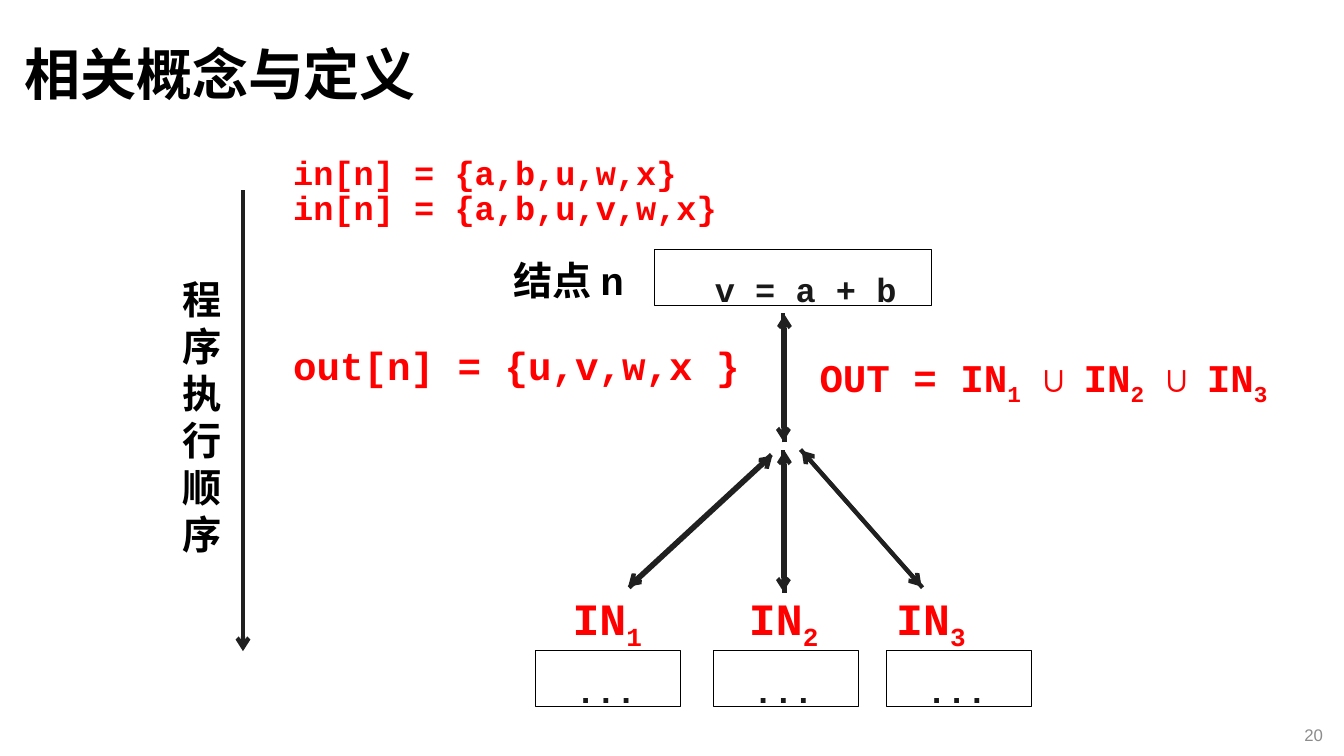
"""Build the slide on node in and out sets of a data flow analysis."""
from dataclasses import dataclass

from lxml import etree
from pptx import Presentation
from pptx import util as u
from pptx.dml.color import RGBColor
from pptx.enum import shapes, text
from pptx.oxml.ns import qn

MONO, HAN, SERIF, SANS = "Courier New", "Noto Sans CJK SC", "Times New Roman", "Arial"
RED, BLACK, INK, DARK, GREY = "FF0000", "000000", "191919", "202020", "8C8C8C"
LEFT, MID, RIGHT = text.PP_ALIGN.LEFT, text.PP_ALIGN.CENTER, text.PP_ALIGN.RIGHT


@dataclass
class Label:
    words: str
    left: float
    top: float
    width: float
    height: float
    size: int = 24
    font: str = MONO
    color: str = RED
    align: text.PP_ALIGN = LEFT
    wrap: bool = False
    bold: bool = True
    pitch: float = 0


@dataclass
class Box:
    words: str
    left: float
    top: float
    width: float
    indent: float


@dataclass
class Arrow:
    x1: float
    y1: float
    x2: float
    y2: float


LABELS = [
    Label("out[n] = {u,v,w,x }", 2.81, 3.34, 4.65, 0.57, 28),
    Label("in[n] = {a,b,u,v,w,x}", 2.81, 1.81, 4.44, 0.5),
    Label("in[n] = {a,b,u,w,x}", 2.81, 1.46, 4.03, 0.5),
    Label("\n".join("程序执行顺序"), 1.71, 2.68, 0.59, 2.93, 28, HAN, BLACK, MID, pitch=33.6),
    Label("结点 n", 4.96, 2.49, 1.36, 0.57, 28, MONO, BLACK, MID, True, pitch=33.6),
    Label("20", 10.22, 7.09, 3, 0.4, 12, SANS, GREY, RIGHT, True, False),
]
BOXES = [Box("v = a + b", 6.49, 2.47, 2.75, 0.6)]
BOXES += [Box("...", left, 6.45, 1.44, 0.4) for left in (5.31, 7.07, 8.79)]
FLOWS = [
    Arrow(7.77, 4.38, 7.77, 3.11),
    Arrow(6.23, 5.82, 7.65, 4.51),
    Arrow(9.14, 5.82, 7.94, 4.46),
    Arrow(7.77, 5.87, 7.77, 4.46),
]
UNION = [("OUT = IN", MONO, 0), ("1 ", MONO, -25), ("∪ ", SERIF, 0),
         ("IN", MONO, 0), ("2 ", MONO, -25), ("∪ ", SERIF, 0),
         ("IN", MONO, 0), ("3", MONO, -25)]


def tint(code: str) -> RGBColor:
    """Turn a hex string into a colour."""
    return RGBColor.from_string(code)


def style(run, size: int, font: str, color: str, bold: bool = True, base: int = 0) -> None:
    """Format one run, with its East Asian font and baseline."""
    run.font.size, run.font.bold, run.font.name = u.Pt(size), bold, font
    run.font.color.rgb = tint(color)
    props = run._r.get_or_add_rPr()
    east = etree.SubElement(props, qn("a:ea"))
    east.set("typeface", HAN if font == MONO else font)
    if base:
        props.set("baseline", str(base * 1000))


def put_label(slide, label: Label):
    """Add a text box whose paragraphs share one format."""
    area = map(u.Inches, (label.left, label.top, label.width, label.height))
    frame = slide.shapes.add_textbox(*area).text_frame
    frame.word_wrap = label.wrap
    if label.font == SANS:
        frame.vertical_anchor = text.MSO_ANCHOR.MIDDLE
    frame.text = label.words
    for para in frame.paragraphs:
        para.alignment = label.align
        if label.pitch:
            para.line_spacing = u.Pt(label.pitch)
        for run in para.runs:
            style(run, label.size, label.font, label.color, label.bold)


def put_mix(slide, parts: list, left: float, top: float, width: float,
            height: float, size: int, wrap: bool = False) -> None:
    """Add a red text box whose runs differ in font and baseline."""
    area = map(u.Inches, (left, top, width, height))
    frame = slide.shapes.add_textbox(*area).text_frame
    frame.word_wrap = wrap
    for words, font, base in parts:
        run = frame.paragraphs[0].add_run()
        run.text = words
        style(run, size, font, RED, base=base)


def put_box(slide, box: Box) -> None:
    """Add an outlined statement box."""
    area = map(u.Inches, (box.left, box.top, box.width, 0.56))
    shape = slide.shapes.add_shape(shapes.MSO_SHAPE.RECTANGLE, *area)
    shape.shadow.inherit = False
    shape.fill.background()
    shape.line.color.rgb, shape.line.width = tint(BLACK), u.Pt(0.25)
    frame = shape.text_frame
    frame.margin_left = u.Inches(box.indent)
    frame.margin_top = frame.margin_right = frame.margin_bottom = 0
    frame.vertical_anchor, frame.word_wrap = text.MSO_ANCHOR.TOP, True
    frame.text = box.words
    para = frame.paragraphs[0]
    para.alignment, para.line_spacing = LEFT, 1.5
    style(para.runs[0], 24, MONO, INK)


def put_arrow(slide, arrow: Arrow, end: str = "tailEnd", shift: float = 0) -> None:
    """Add a line with an arrowhead at one end."""
    ends = [u.Inches(v + shift) for v in (arrow.x1, arrow.y1, arrow.x2, arrow.y2)]
    line = slide.shapes.add_connector(shapes.MSO_CONNECTOR.STRAIGHT, *ends)
    line.line.color.rgb, line.line.width = tint(DARK), u.Pt(3)
    etree.SubElement(line.line._get_or_add_ln(), qn(f"a:{end}")).set("type", "arrow")
    etree.SubElement(line._element.spPr, qn("a:effectLst"))


def put_title(slide, words: str) -> None:
    """Fill and place the title."""
    title = slide.shapes.title
    title.left, title.top, title.width, title.height = map(u.Inches, (0.14, 0.15, 12.57, 1.24))
    frame = title.text_frame
    frame.text = words
    frame.auto_size = text.MSO_AUTO_SIZE.NONE
    frame.vertical_anchor = text.MSO_ANCHOR.MIDDLE
    para = frame.paragraphs[0]
    para.alignment, para.line_spacing = LEFT, 0.9
    style(para.runs[0], 40, HAN, BLACK)


def main() -> None:
    """Build and save the deck."""
    deck = Presentation()
    deck.slide_width, deck.slide_height = u.Inches(13.33), u.Inches(7.5)
    slide = deck.slides.add_slide(deck.slide_layouts[5])
    put_title(slide, "相关概念与定义")
    for box in BOXES:
        put_box(slide, box)
    for label in LABELS:
        put_label(slide, label)
    for num, left in enumerate((5.58, 7.33, 8.79), 1):
        put_mix(slide, [("IN", MONO, 0), (str(num), MONO, -25)], left, 5.81, 0.92, 0.64, 32)
    put_mix(slide, UNION, 8.03, 3.46, 5.3, 0.57, 28, True)
    put_arrow(slide, Arrow(2.41, 1.89, 2.41, 6.46))
    for end, shift in (("headEnd", 0), ("tailEnd", 0.01)):
        for flow in FLOWS:
            put_arrow(slide, flow, end, shift)
    deck.save("out.pptx")


if __name__ == "__main__":
    main()
